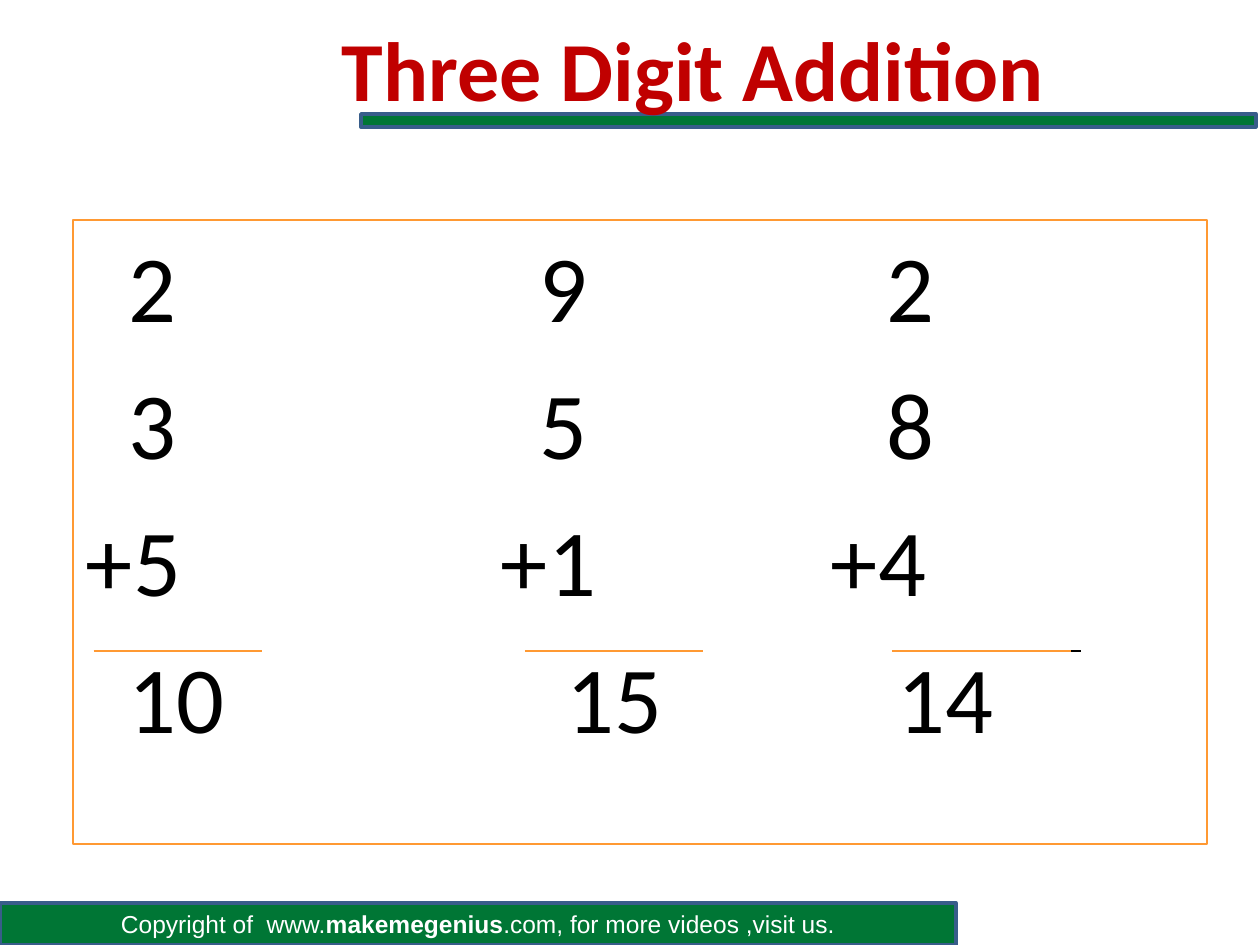
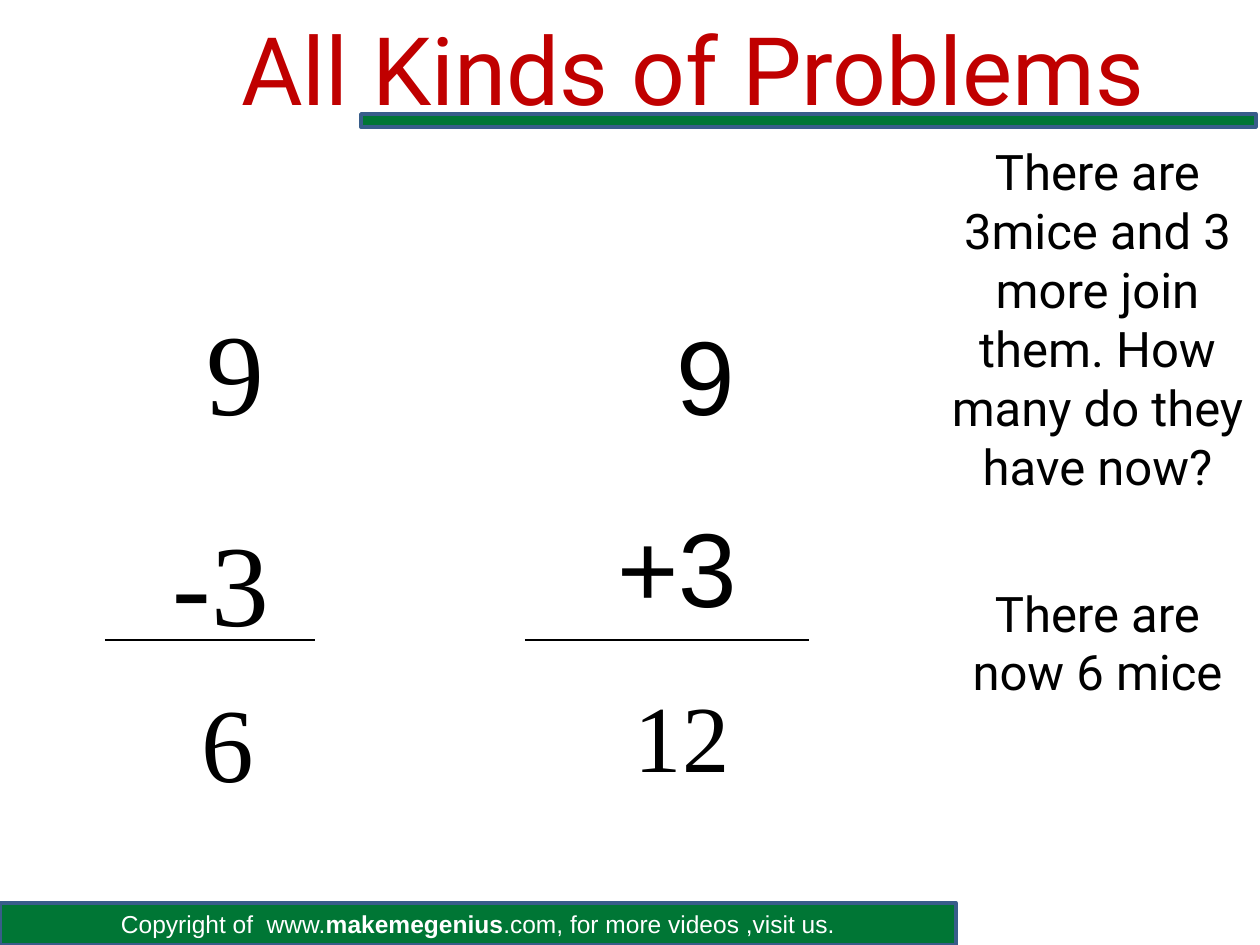
from lxml import etree
from pptx import Presentation
from pptx.dml.color import RGBColor
from pptx.enum.shapes import MSO_CONNECTOR, MSO_SHAPE
from pptx.enum.text import MSO_ANCHOR, MSO_AUTO_SIZE, PP_ALIGN
from pptx.oxml.ns import qn
from pptx.util import Emu, Pt

STRAIGHT = MSO_CONNECTOR.STRAIGHT
RECTANGLE = MSO_SHAPE.RECTANGLE
TOP, MIDDLE = MSO_ANCHOR.TOP, MSO_ANCHOR.MIDDLE
NO_AUTOFIT = MSO_AUTO_SIZE.NONE
LEFT, CENTER = PP_ALIGN.LEFT, PP_ALIGN.CENTER

PX_PER_INCH = 126
PAGE_WIDTH, PAGE_HEIGHT = 1260, 945
GREEN, NAVY, RED, ORANGE = "007635", "385D8A", "C00000", "FF9933"
BLACK, WHITE = "000000", "FFFFFF"
TITLE_ONLY = 5


def px(length):
    return Emu(round(length * 914400 / PX_PER_INCH))


def color(value):
    return RGBColor.from_string(value)


def place(shape, box):
    shape.left, shape.top, shape.width, shape.height = map(px, box)


def set_insets(frame, left=13, top=6, right=13, bottom=6):
    frame.margin_left, frame.margin_top = px(left), px(top)
    frame.margin_right, frame.margin_bottom = px(right), px(bottom)


def format_spans(para, font, size, tint, bold=False):
    for span in para.runs:
        span.font.name, span.font.size, span.font.bold = font, Pt(size), bold
        span.font.color.rgb = color(tint)


def set_indent(para, indent):
    para._p.get_or_add_pPr().set("marL", str(px(indent)))


def set_tab_stops(para, stops):
    tab_list = etree.SubElement(para._p.get_or_add_pPr(), qn("a:tabLst"))
    for stop in stops:
        etree.SubElement(tab_list, qn("a:tab"), pos=str(px(stop)), algn="l")


def add_box(page, box, line, width, fill=None):
    shape = page.shapes.add_shape(RECTANGLE, *map(px, box))
    shape.shadow.inherit = False
    if fill:
        shape.fill.solid()
        shape.fill.fore_color.rgb = color(fill)
    else:
        shape.fill.background()
    shape.line.color.rgb = color(line)
    shape.line.width = Pt(width)
    shape.text_frame.word_wrap = True
    return shape


def add_rule(page, start, end, y, tint=BLACK):
    rule = page.shapes.add_connector(STRAIGHT, px(start), px(y), px(end), px(y))
    rule.line.color.rgb = color(tint)
    rule.line.width = Pt(0.75)
    etree.SubElement(rule.element.spPr, qn("a:effectLst"))


def add_text(page, box, lines, font, size, space=0):
    """Add centred lines, each given as its text and its left indent."""
    frame = page.shapes.add_textbox(*map(px, box)).text_frame
    frame.word_wrap = True
    set_insets(frame)
    frame.text = "\n".join(text for text, _ in lines)
    for index, (para, (_, indent)) in enumerate(zip(frame.paragraphs, lines)):
        set_indent(para, indent)
        para.alignment = CENTER
        if index:
            para.space_before = Pt(space)
        format_spans(para, font, size, BLACK)


def build_master(deck, page):
    """Draw the title bar and footer, then move them behind every slide."""
    bar = add_box(page, (361, 114, 895, 13), NAVY, 2, GREEN)
    footer = add_box(page, (0, 903, 956, 42), NAVY, 2, GREEN)
    frame = footer.text_frame
    frame.vertical_anchor = MIDDLE
    set_insets(frame)
    para = frame.paragraphs[0]
    para.alignment = CENTER
    for text in ("Copyright of  www.", "makemegenius",
                 ".com, for more videos ,visit us."):
        para.add_run().text = text
    format_spans(para, "Arial", 14, WHITE)
    para.runs[1].font.bold = True
    tree = deck.slide_master.element.cSld.spTree
    for position, shape in enumerate((footer, bar), start=2):
        tree.insert(position, shape.element)


def set_title(page, text, font, size, bold=False):
    title = page.shapes.title
    place(title, (126, -11, 1134, 158))
    frame = title.text_frame
    frame.text = text
    frame.auto_size = NO_AUTOFIT
    frame.vertical_anchor = MIDDLE
    frame.paragraphs[0].alignment = CENTER
    format_spans(frame.paragraphs[0], font, size, RED, bold)


def add_sums(page, box):
    """Three sums side by side, lined up with tab stops."""
    rows = (
        ("\t2\t9\t2", (43, 454, 801)),
        ("\t3\t5\t8", (43, 454, 801)),
        ("+5\t+1\t+4", (415, 745)),
        ("\t10\t15\t14", (43, 481, 812)),
    )
    frame = add_box(page, box, ORANGE, 0.75).text_frame
    frame.text = "\n".join(text for text, _ in rows)
    frame.vertical_anchor = TOP
    set_insets(frame, top=8)
    for index, (para, (_, stops)) in enumerate(zip(frame.paragraphs, rows)):
        set_tab_stops(para, stops)
        para.alignment = LEFT
        if index:
            para.space_before = Pt(13.5)
        format_spans(para, "Calibri", 54, BLACK)

    # Sum lines: a black rule under an orange one
    left, top = box[:2]
    add_rule(page, left + 452, left + 452, top + 420)
    for black, orange in (((21, 158), (21, 189)),
                          ((462, 620), (452, 630)),
                          ((840, 1008), (819, 998))):
        for (start, end), tint in ((black, BLACK), (orange, ORANGE)):
            add_rule(page, left + start, left + end, top + 431, tint)


def add_subtraction(page, left, top):
    add_text(page, (left, top, 336, 363), (("9", 29), ("-3", 0)),
             "Times New Roman", 66, space=41.5)
    add_rule(page, left + 52, left + 262, top + 346)
    add_text(page, (left + 83, top + 378, 158, 139), (("6", 26),),
             "Times New Roman", 60)


def add_addition(page, left, top):
    add_text(page, (left, top, 346, 330), (("9", 58), ("+3", 0)),
             "Arial", 60, space=37.5)
    add_rule(page, left + 21, left + 305, top + 335)
    add_text(page, (left + 73, top + 367, 210, 126), (("12", 0),),
             "Times New Roman", 54)


def add_word_problem(page, left, top):
    question = "There are 3mice and 3 more join them. How many do they have now?"
    for text, offset, height in ((question, 0, 514),
                                 ("There are now 6 mice", 441, 131)):
        add_text(page, (left, top + offset, 325, height), ((text, 0),),
                 "Roboto", 28)


def main():
    deck = Presentation()
    deck.slide_width, deck.slide_height = px(PAGE_WIDTH), px(PAGE_HEIGHT)

    # Three digit addition
    page = deck.slides.add_slide(deck.slide_layouts[TITLE_ONLY])
    build_master(deck, page)
    set_title(page, "Three Digit Addition", "Calibri", 48, bold=True)
    add_sums(page, (73, 220, 1134, 624))

    # All kinds of problems
    page = deck.slides.add_slide(deck.slide_layouts[TITLE_ONLY])
    set_title(page, "All Kinds of Problems", "Roboto", 54)
    add_subtraction(page, 53, 294)
    add_addition(page, 504, 305)
    add_word_problem(page, 935, 136)

    deck.save("out.pptx")


if __name__ == "__main__":
    main()
